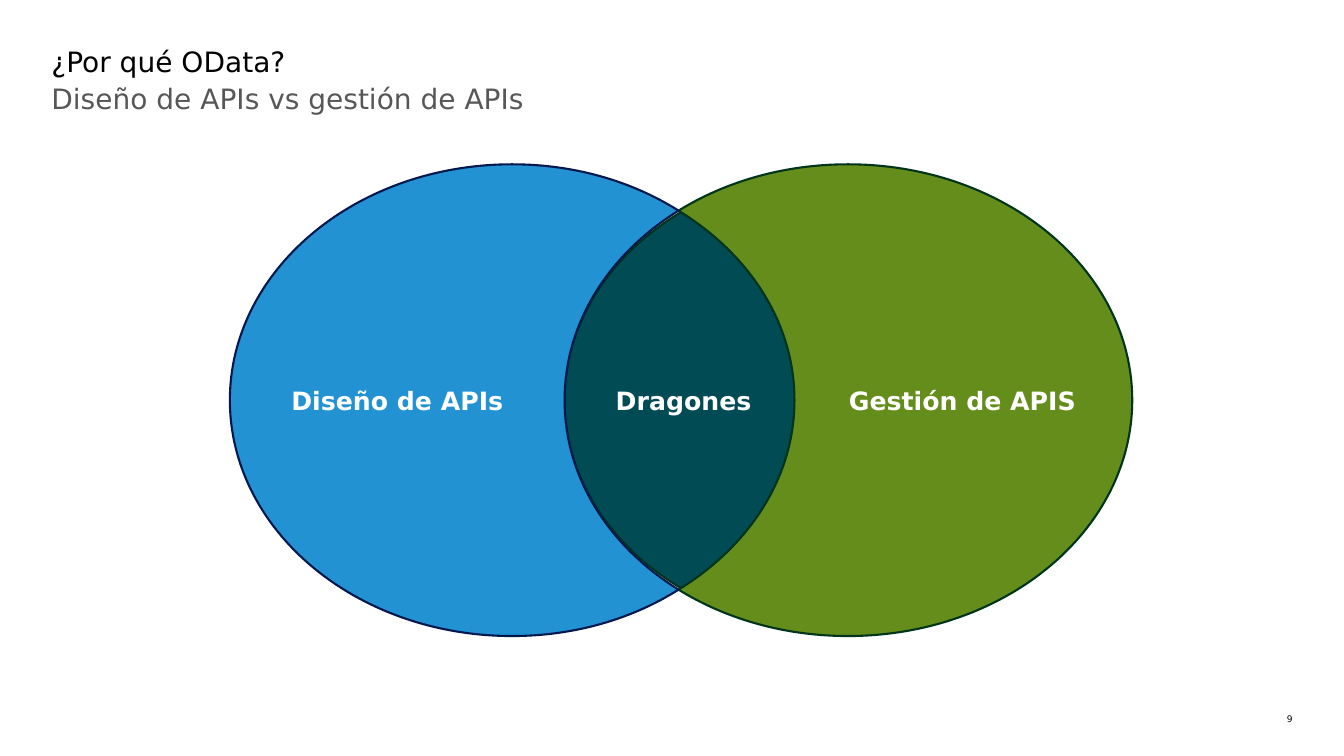
from lxml.etree import Element
from pptx import Presentation
from pptx.dml.color import RGBColor
from pptx.enum.text import MSO_ANCHOR as Anchor, PP_ALIGN as Align
from pptx.oxml.ns import qn
from pptx.util import Inches, Pt

FONT = "DejaVu Sans"
COLORS = {
    "black": "000000",
    "gray": "575757",
    "white": "FFFFFF",
    "blue": "2292D2",
    "navy": "00184E",
    "green": "648D1B",
    "dark_green": "01351B",
    "teal": "004B54",
}
AXIS_Y = 3.97
INSET = 0.05
OVERLAP_INSET = 1.18

DESIGN_ARC = [
    (2.28, AXIS_Y),
    (2.28, 2.68), (3.53, 1.63), (5.08, 1.63),
    (5.7, 1.63), (6.27, 1.8), (6.73, 2.09),
    (6.04, 2.52), (5.6, 3.2), (5.6, AXIS_Y),
]
MANAGEMENT_ARC = [
    (7.88, AXIS_Y),
    (7.88, 3.2), (7.43, 2.52), (6.73, 2.09),
    (7.2, 1.8), (7.78, 1.63), (8.41, 1.63),
    (9.97, 1.63), (11.23, 2.68), (11.23, AXIS_Y),
]
DRAGONS_ARC = [
    (5.6, AXIS_Y),
    (5.6, 3.2), (6.06, 2.51), (6.78, 2.09),
    (7.5, 2.51), (7.96, 3.2), (7.96, AXIS_Y),
]


def color(name):
    return RGBColor.from_string(COLORS[name])


def write_text(frame, text, size, color_name, align, insets, bold=False):
    frame.word_wrap = True
    frame.margin_left, frame.margin_top, frame.margin_right, frame.margin_bottom = map(Inches, insets)
    frame.text = text
    para = frame.paragraphs[0]
    para.alignment = align
    font = para.runs[0].font
    font.name = FONT
    font.size = Pt(size)
    font.bold = bold
    font.color.rgb = color(color_name)


def add_text(page, text, bounds, size, color_name, align=Align.LEFT):
    box = page.shapes.add_textbox(*map(Inches, bounds))
    write_text(box.text_frame, text, size, color_name, align, (0, 0, 0, 0))


def mirrored_outline(arc):
    lower = [(x, 2 * AXIS_Y - y) for x, y in reversed(arc[:-1])]
    return [(Inches(x), Inches(y)) for x, y in arc + lower]


def bend_sides(region, outline):
    sides = list(region.element.iter(qn("a:lnTo")))
    for index, side in enumerate(sides):
        side.tag = qn("a:cubicBezTo")
        controls = outline[3 * index + 1:3 * index + 3]
        for place, (x, y) in enumerate(controls):
            point = Element(qn("a:pt"), x=str(x - region.left), y=str(y - region.top))
            side.insert(place, point)


def add_region(page, text, arc, fill, line, left_inset=INSET, right_inset=INSET):
    outline = mirrored_outline(arc)
    builder = page.shapes.build_freeform(*outline[0], scale=1.0)
    builder.add_line_segments(outline[3::3], close=True)
    region = builder.convert_to_shape()
    bend_sides(region, outline)
    region.shadow.inherit = False
    region.fill.solid()
    region.fill.fore_color.rgb = color(fill)
    region.line.color.rgb = color(line)
    region.line.width = Pt(1.5)
    region.text_frame.vertical_anchor = Anchor.MIDDLE
    insets = (left_inset, INSET, right_inset, INSET)
    write_text(region.text_frame, text, 18, "white", Align.CENTER, insets, bold=True)


def main():
    deck = Presentation()
    deck.slide_width, deck.slide_height = Inches(13.33), Inches(7.5)
    page = deck.slides.add_slide(deck.slide_layouts[6])
    add_text(page, "9", (12.48, 7.08, 0.34, 0.11), 6.5, "black", Align.RIGHT)
    add_text(page, "Diseño de APIs vs gestión de APIs", (0.51, 0.81, 12.31, 0.38), 20, "gray")
    add_text(page, "¿Por qué OData?", (0.51, 0.44, 12.31, 0.37), 20, "black")
    add_region(page, "Dragones", DRAGONS_ARC, "teal", "dark_green")
    add_region(page, "Gestión de APIS", MANAGEMENT_ARC, "green", "dark_green", left_inset=OVERLAP_INSET)
    add_region(page, "Diseño de APIs", DESIGN_ARC, "blue", "navy", right_inset=OVERLAP_INSET)
    deck.save("out.pptx")


if __name__ == "__main__":
    main()
